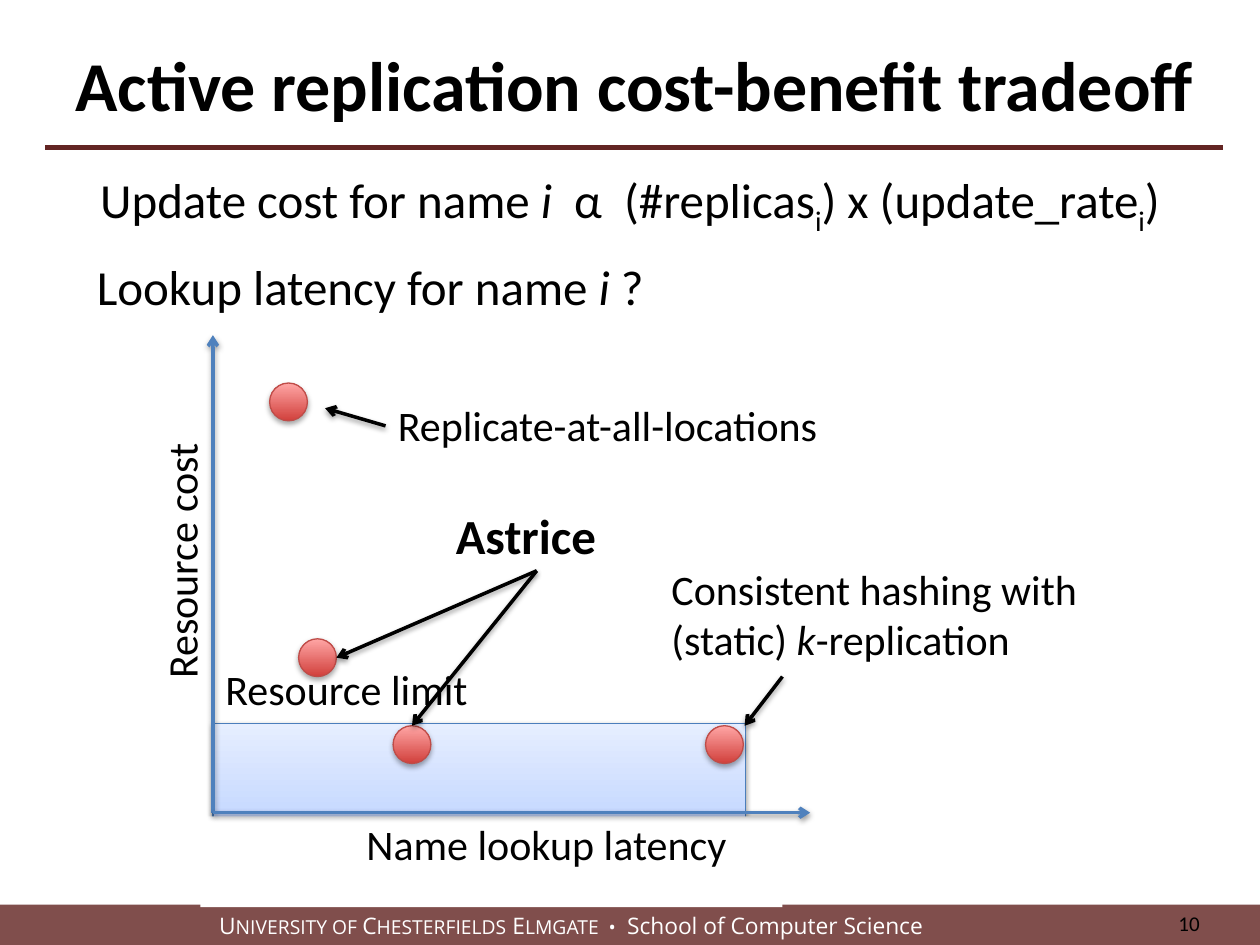
from copy import deepcopy
from dataclasses import dataclass

from lxml.etree import SubElement
from pptx import Presentation
from pptx.dml.color import RGBColor as Rgb
from pptx.enum.shapes import MSO_CONNECTOR as Connector, MSO_SHAPE as Preset
from pptx.enum.text import MSO_ANCHOR as Anchor, MSO_AUTO_SIZE as AutoSize, PP_ALIGN as Align
from pptx.oxml.ns import qn
from pptx.util import Inches, Pt


@dataclass(frozen=True)
class Theme:
    """Colours, fonts and type sizes of the deck."""
    font: str = "Calibri"
    footer_font: str = "Open Sans"
    ink: str = "000000"
    paper: str = "FFFFFF"
    maroon: str = "632523"
    axis: str = "4F81BD"
    region_line: str = "4B7EBC"
    region_stops: tuple = ((0, "A4C4FF"), (0.35, "BFD4FF"), (1, "E6EEFF"))
    dot_line: str = "BF4C48"
    dot_stops: tuple = ((0, "D1403C"), (1, "FFA6A5"))
    title: int = 40
    statement: int = 28
    label: int = 24
    number: int = 12
    footer_large: int = 13
    footer_small: int = 11


THEME = Theme()


def color(value):
    """Turn a hex string into a colour."""
    return Rgb.from_string(value)


def add_shadow(shape, opacity=38, distance=1.6):
    """Give a shape or line a soft shadow falling straight down."""
    effects = SubElement(shape._element.spPr, qn("a:effectLst"))
    shadow = SubElement(effects, qn("a:outerShdw"), blurRad=str(Pt(3.1)),
                        dist=str(Pt(distance)), dir="5400000", rotWithShape="0")
    black = SubElement(shadow, qn("a:srgbClr"), val=THEME.ink)
    SubElement(black, qn("a:alpha"), val=str(opacity * 1000))


def add_line(page, start, end, ink, width=2, arrow=True):
    """Draw a straight line, by default with an arrowhead and a shadow."""
    points = [Inches(value) for value in (*start, *end)]
    line = page.shapes.add_connector(Connector.STRAIGHT, *points)
    line.line.color.rgb = color(ink)
    line.line.width = Pt(width)
    if arrow:
        SubElement(line.line._get_or_add_ln(), qn("a:tailEnd"), type="arrow")
        add_shadow(line)
    else:
        SubElement(line._element.spPr, qn("a:effectLst"))
    return line


def add_block(page, preset, box, fill):
    """Draw a flat shape without outline."""
    block = page.shapes.add_shape(preset, *map(Inches, box))
    block.shadow.inherit = False
    block.fill.solid()
    block.fill.fore_color.rgb = color(fill)
    block.line.fill.background()
    return block


def add_glossy(page, preset, box, stops, outline, opacity, distance):
    """Draw a shape with a vertical gradient, thin outline and shadow."""
    shape = page.shapes.add_shape(preset, *map(Inches, box))
    shape.fill.gradient()
    shape.fill.gradient_angle = 90
    stop_list = shape._element.spPr.find(".//" + qn("a:gsLst"))
    for _ in stops[2:]:
        stop_list.append(deepcopy(stop_list[0]))
    for stop, (position, value) in zip(shape.fill.gradient_stops, stops):
        stop.position = position
        stop.color.rgb = color(value)
    shape.line.color.rgb = color(outline)
    shape.line.width = Pt(0.75)
    add_shadow(shape, opacity, distance)


def style(para, size, bold=False, ink=THEME.ink, font=THEME.font):
    """Set the font of a paragraph."""
    para.font.name = font
    para.font.size = Pt(size)
    para.font.bold = bold
    para.font.color.rgb = color(ink)


def add_text(page, box, spans, size, bold=False, wrap=False, align=Align.LEFT):
    """Place text made of (words, mark) spans; marks are italic and sub."""
    text_box = page.shapes.add_textbox(*map(Inches, box))
    frame = text_box.text_frame
    frame.word_wrap = wrap
    frame.auto_size = AutoSize.SHAPE_TO_FIT_TEXT
    para = frame.paragraphs[0]
    para.alignment = align
    style(para, size, bold)
    for words, mark in spans:
        span = para.add_run()
        span.text = words
        if mark == "italic":
            span.font.italic = True
        elif mark == "sub":
            span.font._element.set("baseline", "-25000")
    return text_box


def build_header(page, left, top, width):
    """Place the title and the rule below it."""
    title = page.shapes.title
    title.left, title.top = Inches(left), Inches(top)
    title.width, title.height = Inches(width), Inches(0.91)
    title.text_frame.text = "Active replication cost-benefit tradeoff"
    title.text_frame.vertical_anchor = Anchor.MIDDLE
    para = title.text_frame.paragraphs[0]
    para.alignment = Align.CENTER
    style(para, THEME.title, bold=True)
    rule = top + 0.96
    add_line(page, (left, rule), (left + width, rule), THEME.maroon, 3, arrow=False)


def build_footer(page, left, top, width):
    """Place the footer band with the school name in small capitals."""
    band = add_block(page, Preset.RECTANGLE, (left, top, width, 0.33), THEME.maroon)
    fill = band._element.spPr.find(qn("a:solidFill"))
    SubElement(fill[0], qn("a:alpha"), val="81000")
    frame = band.text_frame
    frame.margin_left = Inches(1.74)
    frame.vertical_anchor = Anchor.MIDDLE
    para = frame.paragraphs[0]
    para.alignment = Align.LEFT
    style(para, THEME.footer_large, ink=THEME.paper, font=THEME.footer_font)
    spans = ("U", "NIVERSITY OF ", "C", "HESTERFIELDS", " E", "LMGATE  • ",
             " School of Computer Science")
    for index, words in enumerate(spans):
        span = para.add_run()
        span.text = words
        if index % 2:
            span.font.size = Pt(THEME.footer_small)


def build_number(page, left, top, width):
    """Place the page number."""
    number = add_text(page, (left, top, width, 0.4), [("10", None)],
                      THEME.number, wrap=True, align=Align.RIGHT)
    number.text_frame.auto_size = AutoSize.NONE
    number.text_frame.vertical_anchor = Anchor.MIDDLE


def build_statements(page, left, top):
    """Place the two statements above the diagram."""
    cost = [("Update cost for name ", None), ("i", "italic"),
            ("  α  (#replicas", None), ("i", "sub"), (") x (update_rate", None),
            ("i", "sub"), (")", None)]
    latency = [("Lookup latency for name ", None), ("i ", "italic"), ("?", None)]
    add_text(page, (left, top, 8.78, 0.57), cost, THEME.statement, align=Align.CENTER)
    add_text(page, (left + 0.06, top + 0.69, 4.62, 0.57), latency, THEME.statement)


def build_diagram(page, left, top, width, height):
    """Place the tradeoff diagram, with its axes along the given box."""
    def at(x, y, *size):
        return (left + x, top + y, *size)

    add_glossy(page, Preset.RECTANGLE, at(0, 3.08, 4.23, 1.38),
               THEME.region_stops, THEME.region_line, 38, 1.6)
    add_block(page, Preset.RECTANGLE, at(-0.1, 3.82, 4.62, 0.72), THEME.paper)
    for end in (at(0, 0), at(width, height)):
        add_line(page, at(0, height), end, THEME.axis)

    for x, y in ((0.45, 0.38), (0.68, 2.41), (1.43, 3.1), (3.91, 3.1)):
        add_glossy(page, Preset.OVAL, at(x, y, 0.3, 0.3),
                   THEME.dot_stops, THEME.dot_line, 35, 1.8)

    labels = (("Name lookup latency", (1.12, 3.79, 3.11, 0.5)),
              ("Resource limit", (0, 2.56, 2.15, 0.5)),
              ("Replicate-at-all-locations", (1.37, 0.46, 3.6, 0.5)))
    for words, box in labels:
        add_text(page, at(*box), [(words, None)], THEME.label)
    add_text(page, at(-1.31, 1.52, 2.11, 0.5), [("Resource cost", None)],
             THEME.label).rotation = 270
    add_text(page, at(3.54, 1.76, 3.55, 0.91),
             [("Consistent hashing with (static) ", None), ("k", "italic"),
              ("-replication", None)], THEME.label, wrap=True)
    add_text(page, at(1.83, 1.3, 1.6, 0.57), [("Astrice", None)],
             THEME.statement, bold=True)

    arrows = (((1.37, 0.72), (0.89, 0.58)), ((2.57, 1.87), (0.98, 2.56)),
              ((2.57, 1.87), (1.58, 3.1)), ((4.52, 2.71), (4.22, 3.1)))
    for start, end in arrows:
        add_line(page, at(*start), at(*end), THEME.ink)


def build_deck():
    """Build and save the one-page deck."""
    deck = Presentation()
    deck.slide_width, deck.slide_height = Inches(10), Inches(7.5)
    page = deck.slides.add_slide(deck.slide_layouts[5])
    build_header(page, 0.36, 0.21, 9.35)
    build_footer(page, 0, 7.18, 10)
    build_diagram(page, 1.69, 2.66, 4.74, 3.79)
    build_statements(page, 0.61, 1.3)
    build_number(page, 7.29, 7.13, 2.33)
    deck.save("out.pptx")


build_deck()
